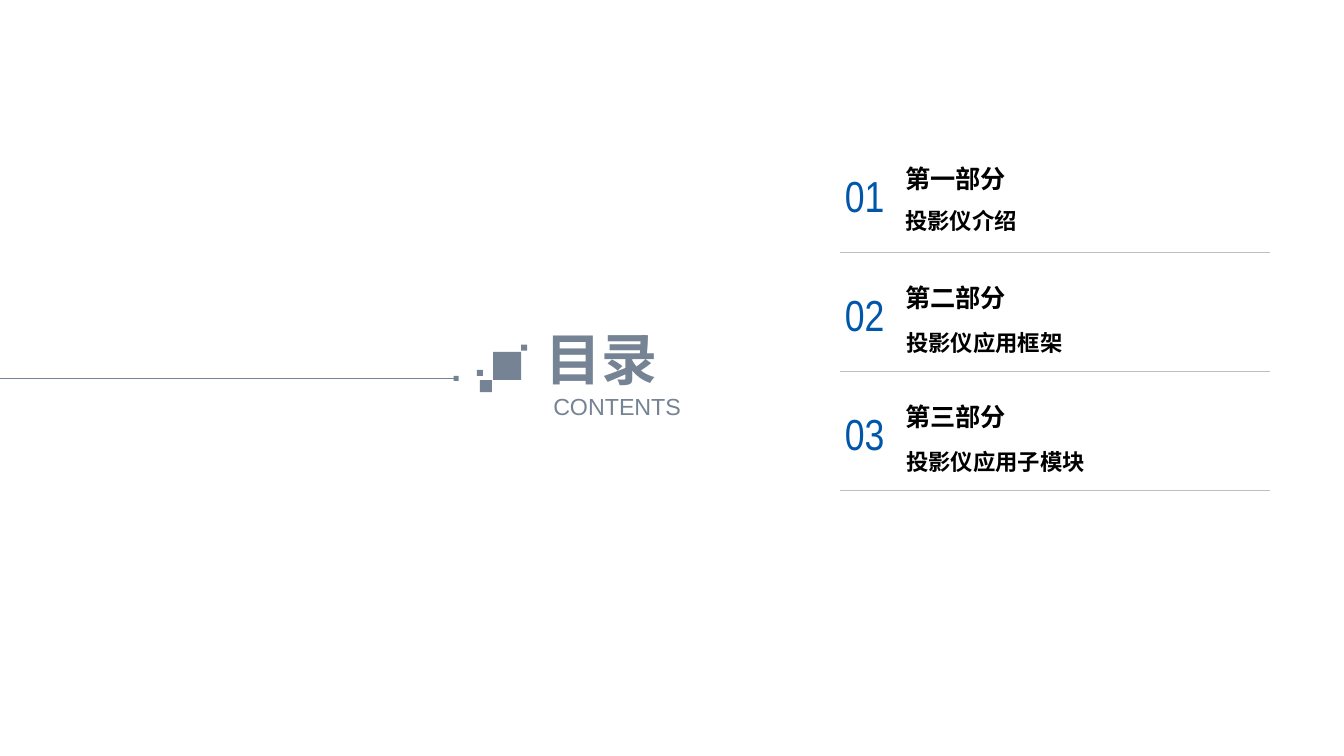
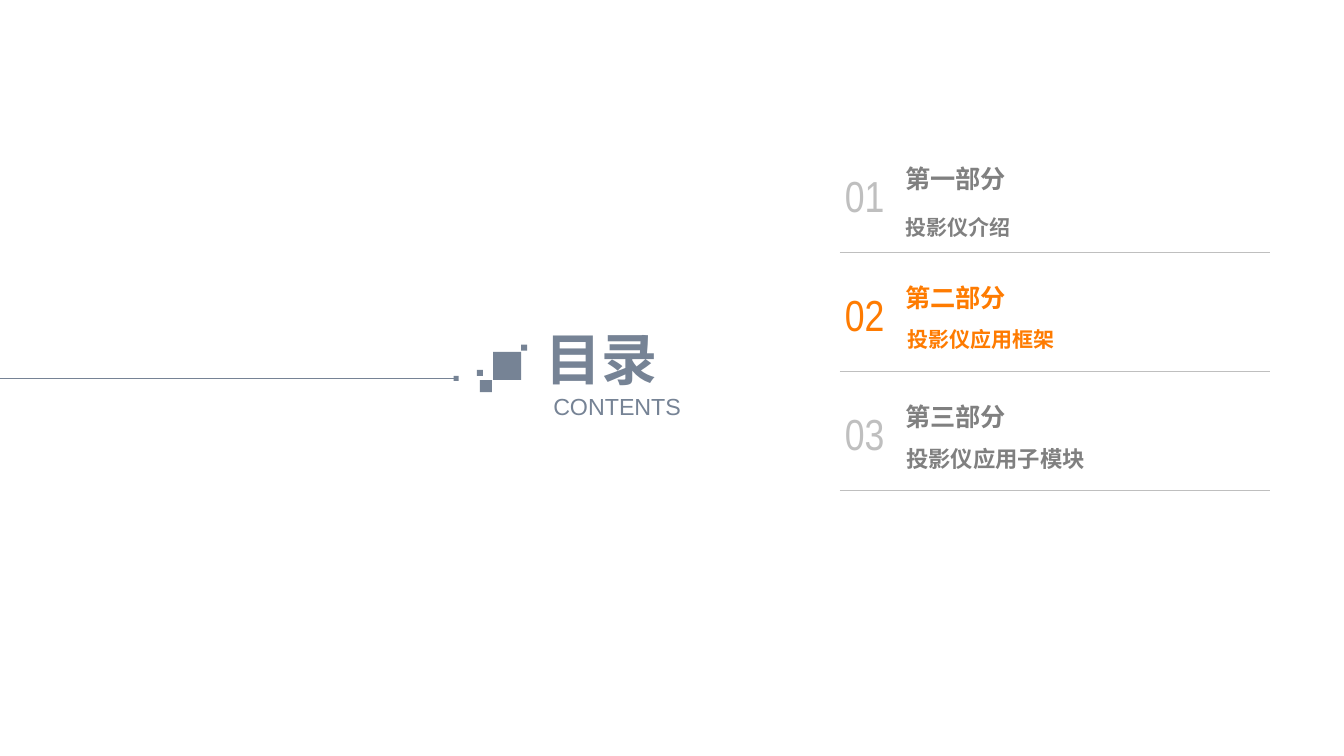
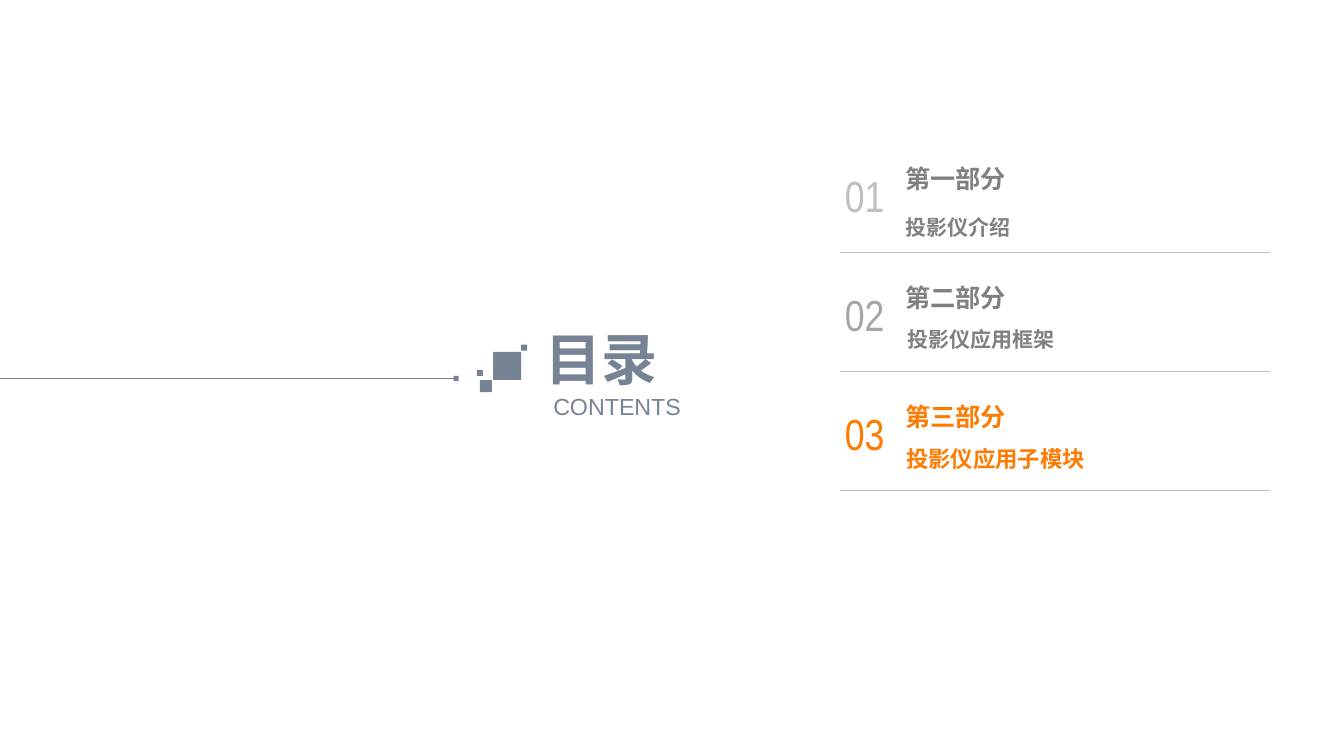
"""Build a contents slide and two section markers for a projector talk."""
from lxml import etree
from pptx import Presentation
from pptx.dml.color import RGBColor
from pptx.enum import shapes, text
from pptx.oxml import ns
from pptx.util import Inches, Pt

COLORS = {"slate": "768395", "blue": "0057AA", "black": "000000", "orange": "FE7B01",
          "gray": "808080", "silver": "BFBFBF", "mid_gray": "A6A6A6"}
SECTIONS = [("01", "第一部分", "投影仪介绍"),
            ("02", "第二部分", "投影仪应用框架"),
            ("03", "第三部分", "投影仪应用子模块")]
OPEN = ("blue", "black")
ACTIVE = ("orange", "orange")
FADED = ("silver", "gray")
PASSED = ("mid_gray", "gray")
OVERVIEW_SUBTITLES = [(8.88, 1.95, 16), (8.89, 3.16, 16), (8.89, 4.34, 16)]
MARKER_SUBTITLES = [(8.88, 2.03, 15), (8.9, 3.14, 15), (8.89, 4.31, 16)]
SLIDES = [([OPEN, OPEN, OPEN], OVERVIEW_SUBTITLES),
          ([FADED, ACTIVE, FADED], MARKER_SUBTITLES),
          ([FADED, PASSED, ACTIVE], MARKER_SUBTITLES)]
EMBLEM_SQUARES = [(4.89, 3.49, 0.28), (5.17, 3.42, 0.06), (4.76, 3.77, 0.12),
                  (4.73, 3.67, 0.06), (4.5, 3.73, 0.05)]
LIST_LEFT, LIST_RIGHT, LIST_TOP, ROW_PITCH = 8.33, 12.6, 1.57, 1.18


def rgb(name):
    return RGBColor.from_string(COLORS[name])


def add_text(slide, words, box, size, color, bold=False, font="Arial", align="LEFT",
             middle=False, wrap=True, inset=True, spacing=None):
    frame = slide.shapes.add_textbox(*map(Inches, box)).text_frame
    frame.word_wrap = wrap
    frame.vertical_anchor = text.MSO_ANCHOR.MIDDLE if middle else text.MSO_ANCHOR.TOP
    if not inset:
        frame.margin_left = frame.margin_right = frame.margin_top = frame.margin_bottom = 0
    paragraph = frame.paragraphs[0]
    paragraph.text = words
    paragraph.alignment = getattr(text.PP_ALIGN, align)
    paragraph.line_spacing = spacing
    paragraph.font.name = font
    paragraph.font.size = Pt(size)
    paragraph.font.bold = bold
    paragraph.font.color.rgb = rgb(color)


def add_rule(slide, left, right, top, color, width):
    rule = slide.shapes.add_connector(shapes.MSO_CONNECTOR.STRAIGHT, Inches(left), Inches(top),
                                      Inches(right), Inches(top))
    rule.line.color.rgb = rgb(color)
    rule.line.width = Pt(width)
    etree.SubElement(rule._element.spPr, ns.qn("a:effectLst"))


def add_heading(slide):
    add_rule(slide, 0, 4.52, 3.75, "slate", 0.5)
    for left, top, side in EMBLEM_SQUARES:
        square = slide.shapes.add_shape(shapes.MSO_SHAPE.RECTANGLE, Inches(left), Inches(top),
                                        Inches(side), Inches(side))
        square.shadow.inherit = False
        square.fill.solid()
        square.fill.fore_color.rgb = rgb("slate")
        square.line.fill.background()
    add_text(slide, "CONTENTS", (5.41, 3.9, 1.42, 0.26), 16.6, "slate", align="CENTER",
             middle=True, inset=False)
    add_text(slide, "目录", (5.41, 3.22, 1.42, 0.67), 40, "slate", bold=True,
             align="JUSTIFY", inset=False)


def add_section(slide, row, colors, subtitle_place):
    number, title, subtitle = SECTIONS[row]
    number_color, text_color = colors
    left, subtitle_top, size = subtitle_place
    top = LIST_TOP + row * ROW_PITCH
    add_text(slide, subtitle, (left, subtitle_top, 3.72, 0.32), size, text_color, bold=True,
             spacing=1.2)
    add_text(slide, title, (8.88, top, 3.72, 0.45), 18, text_color, bold=True, wrap=False)
    add_text(slide, number, (LIST_LEFT, top + 0.1, 0.49, 0.53), 31, number_color,
             font="Arial Narrow", align="CENTER", middle=True, wrap=False, inset=False)
    add_rule(slide, LIST_LEFT, LIST_RIGHT, top + 0.93, "silver", 0.25)


def main():
    presentation = Presentation()
    presentation.slide_width, presentation.slide_height = Inches(13.33), Inches(7.5)
    for row_colors, subtitle_places in SLIDES:
        slide = presentation.slides.add_slide(presentation.slide_layouts[6])
        add_heading(slide)
        for row, (colors, place) in enumerate(zip(row_colors, subtitle_places)):
            add_section(slide, row, colors, place)
    presentation.save("out.pptx")


if __name__ == "__main__":
    main()
